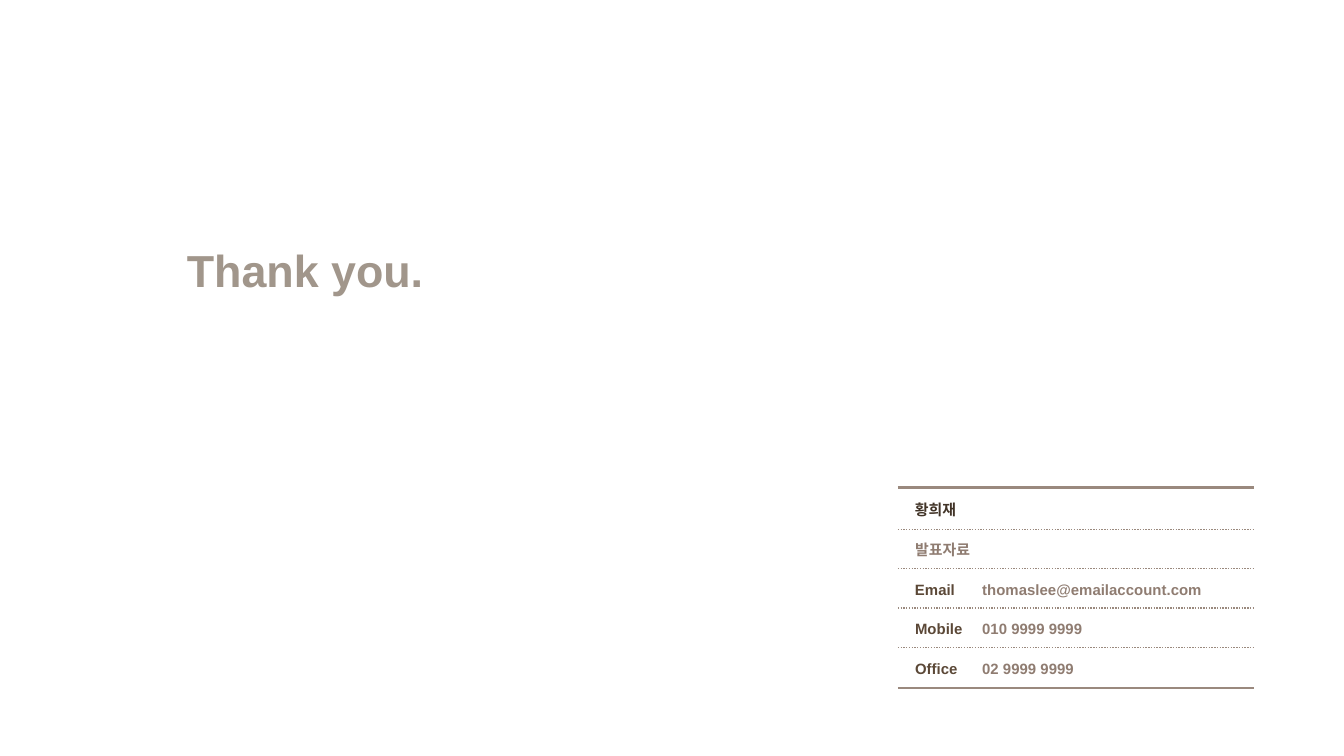
from lxml import etree
from pptx import Presentation
from pptx.dml.color import RGBColor
from pptx.enum.dml import MSO_LINE
from pptx.enum.shapes import MSO_CONNECTOR
from pptx.enum.text import MSO_AUTO_SIZE, PP_ALIGN
from pptx.oxml.ns import qn
from pptx.util import Inches, Pt

STRAIGHT = MSO_CONNECTOR.STRAIGHT
DOTTED = MSO_LINE.ROUND_DOT
GROW = MSO_AUTO_SIZE.SHAPE_TO_FIT_TEXT
LEFT, CENTER = PP_ALIGN.LEFT, PP_ALIGN.CENTER

WIDTH = 10
HEIGHT = WIDTH * 9 / 16
FONT = "Arial"
TITLE, RULE = "A1968B", "9A897E"
NAME, LABEL, VALUE = "413327", "5B4837", "8F7C71"

# Each row holds (text, colour, box width) for its label and optional value
CONTACT_ROWS = [
    [("황희재", NAME, 0.54)],
    [("발표자료", VALUE, 0.65)],
    [("Email", LABEL, 0.63), ("thomaslee@emailaccount.com", VALUE, 1.85)],
    [("Mobile", LABEL, 0.59), ("010 9999 9999", VALUE, 0.96)],
    [("Office", LABEL, 0.55), ("02 9999 9999", VALUE, 0.9)],
]


def colour(code):
    return RGBColor.from_string(code)


def add_text(page, box, text, size, code, align=LEFT):
    frame = page.shapes.add_textbox(*map(Inches, box)).text_frame
    frame.word_wrap = False
    frame.auto_size = GROW
    para = frame.paragraphs[0]
    para.alignment = align
    span = para.add_run()
    span.text = text
    span.font.name = FONT
    span.font.size = Pt(size)
    span.font.bold = True
    span.font.color.rgb = colour(code)


def add_rule(page, left, right, top, weight, dash=None):
    rule = page.shapes.add_connector(
        STRAIGHT, Inches(left), Inches(top), Inches(right), Inches(top))
    rule.line.color.rgb = colour(RULE)
    rule.line.width = Pt(weight)
    if dash:
        rule.line.dash_style = dash
    # An empty effect list removes the theme shadow
    etree.SubElement(rule._element.spPr, qn("a:effectLst"))


def add_closing(page, box):
    add_text(page, box, "Thank you.", 24, TITLE, CENTER)


def add_contact_card(page, box):
    left, top, width, height = box
    right = left + width
    row = height / len(CONTACT_ROWS)
    text_pitch, rule_pitch = 0.99 * row, 0.98 * row
    label_left = left + 0.03
    columns = (label_left, label_left + 0.5)

    # Solid rules close the card at both ends
    for edge in (top + height, top):
        add_rule(page, left, right, edge, 1.5)

    # Labels and values
    for index, cells in enumerate(CONTACT_ROWS):
        text_top = top + 0.05 + index * text_pitch
        for column, (text, code, cell_width) in zip(columns, cells):
            add_text(page, (column, text_top, cell_width, 0.24), text, 8, code)

    # Dotted rules between the rows
    for index in range(1, len(CONTACT_ROWS)):
        add_rule(page, left, right, top + 0.02 + index * rule_pitch, 0.75, DOTTED)


def main():
    deck = Presentation()
    deck.slide_width, deck.slide_height = Inches(WIDTH), Inches(HEIGHT)
    page = deck.slides.add_slide(deck.slide_layouts[6])
    page.background.fill.solid()
    page.background.fill.fore_color.rgb = colour("FFFFFF")
    # Boxes as shares of the slide
    add_closing(page, (0.128 * WIDTH, 0.313 * HEIGHT, 0.198 * WIDTH, 0.5))
    add_contact_card(
        page, (0.668 * WIDTH, 0.645 * HEIGHT, 0.265 * WIDTH, 0.265 * HEIGHT))
    deck.save("out.pptx")


if __name__ == "__main__":
    main()
